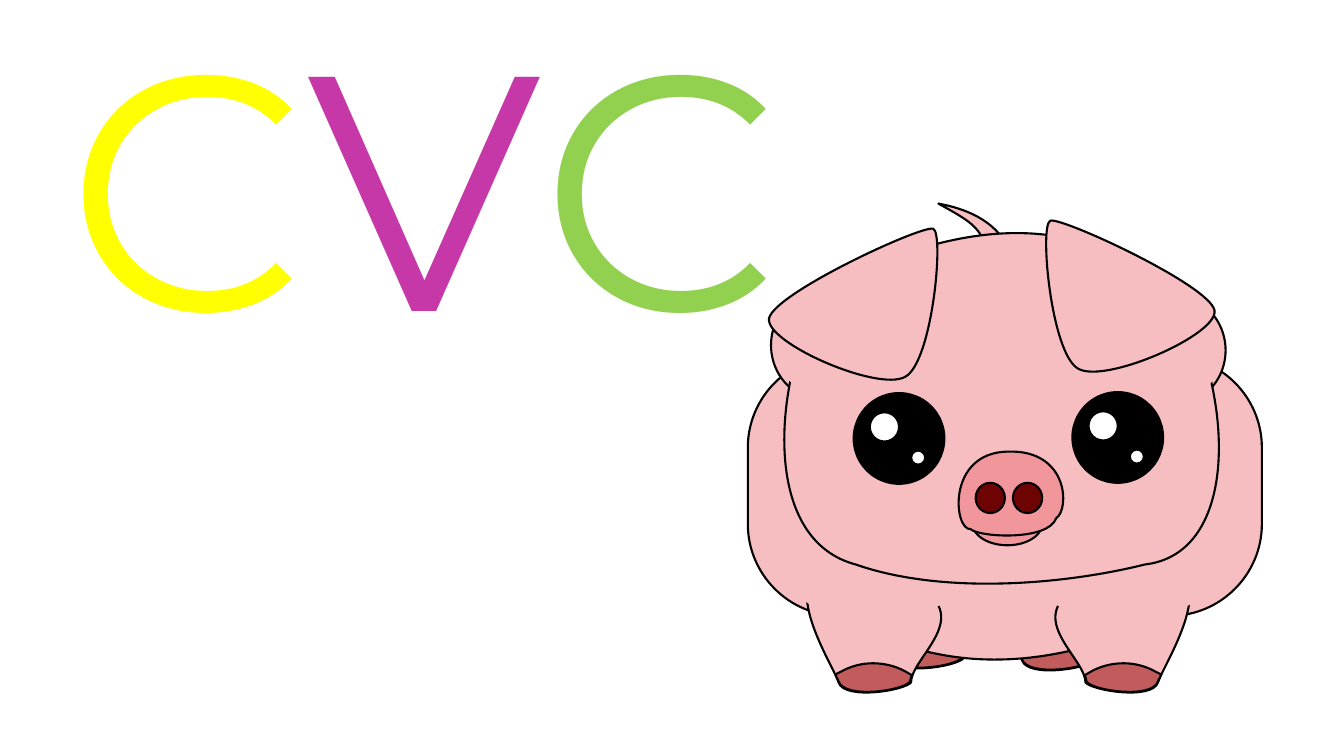
from lxml import etree
from pptx import Presentation
from pptx.dml.color import RGBColor
from pptx.enum.shapes import MSO_SHAPE
from pptx.enum.text import MSO_ANCHOR, MSO_AUTO_SIZE, PP_ALIGN
from pptx.oxml.ns import qn
from pptx.util import Cm, Pt

OVAL = MSO_SHAPE.OVAL
TOP = MSO_ANCHOR.TOP
NO_FIT = MSO_AUTO_SIZE.NONE
CENTER = PP_ALIGN.CENTER

COLORS = {
    "yellow": "FFFF00", "purple": "C638A8", "green": "92D050",
    "skin": "F6BEC1", "back leg": "F5E2E4", "hoof": "C25B5C",
    "snout": "F1969B", "nostril": "6D0303",
    "black": "000000", "white": "FFFFFF",
}
GRID = 2.54  # centimetres per drawing unit
CURVE_STEPS = 24

# Outlines: a start point, then lines (x, y) or cubic curves (six numbers)
TAIL = [(9.84, 2.59), (9.73, 2.25, 9.67, 2.22, 9.31, 2.02),
        (9.91, 2.13, 10.02, 2.46, 10.04, 2.59), (10.1, 3, 9.85, 3.04, 9.61, 3.1),
        (9.46, 3.06, 9.28, 2.86, 9.3, 2.74), (9.27, 2.63, 9.52, 2.33, 9.94, 2.41),
        (10.45, 2.65, 10.34, 3.07, 10.29, 3.11),
        (10.24, 3.15, 10.05, 2.63, 9.63, 2.64),
        (9.19, 2.74, 9.63, 2.89, 9.7, 2.85), (9.92, 2.8, 9.87, 2.68, 9.84, 2.59)]
LEG = [(8.32, 6.77), (8.27, 6.59, 7.45, 5.37, 8.68, 5.67),
       (9.91, 5.98, 9.04, 6.48, 9.04, 6.77), (8.98, 6.85, 8.38, 6.95, 8.32, 6.77)]
HOOF = [(8.66, 6.58), (8.78, 6.58, 8.89, 6.61, 8.98, 6.66), (9.05, 6.7),
        (9.04, 6.71, 9.03, 6.74, 9.03, 6.76), (8.98, 6.85, 8.38, 6.94, 8.32, 6.76),
        (8.32, 6.75, 8.31, 6.74, 8.3, 6.72), (8.29, 6.69), (8.35, 6.66),
        (8.44, 6.61, 8.55, 6.58, 8.66, 6.58)]
BODY = [(7.42, 4.44), (7.42, 3.94, 7.83, 3.53, 8.33, 3.53), (11.61, 3.53),
        (12.11, 3.53, 12.52, 3.94, 12.52, 4.44), (12.52, 5.2),
        (12.52, 5.7, 12.11, 6.11, 11.61, 6.11),
        (10.67, 6.54, 9.53, 6.82, 8.33, 6.11),
        (7.83, 6.11, 7.42, 5.7, 7.42, 5.2), (7.42, 4.44)]
HEAD = [(8.01, 3.21), (8.01, 2.94, 8.22, 2.73, 8.49, 2.73),
        (9.07, 2.42, 10.41, 1.97, 11.36, 2.73),
        (11.62, 2.73, 11.83, 2.94, 11.83, 3.21),
        (12.25, 4.18, 12.22, 5.5, 11.36, 5.6), (10.6, 5.79, 9.38, 5.91, 8.49, 5.6),
        (7.62, 5.37, 7.67, 4.04, 8.01, 3.21)]
SNOUT = [(10, 4.48), (10.61, 4.46, 10.61, 5.06, 10.48, 5.14),
         (10.4, 5.37, 9.72, 5.33, 9.63, 5.25), (9.46, 5.26, 9.39, 4.49, 10, 4.48)]
EAR = [(7.63, 3.16), (7.68, 2.91, 9.15, 2.23, 9.26, 2.27),
       (9.37, 2.32, 9.25, 3.6, 8.98, 3.74), (8.71, 3.89, 7.59, 3.4, 7.63, 3.16)]


def grid(value):
    return Cm(value * GRID)


def moved(outline, dx=0, dy=0, mirror=False):
    """Shift an outline, flipping it left to right first if asked."""
    sign = -1 if mirror else 1
    return [tuple(v + dy if i % 2 else sign * v + dx for i, v in enumerate(step))
            for step in outline]


def flatten(outline):
    """Points along the outline, which give the true extents of its curves."""
    points = [outline[0]]
    for step in outline[1:]:
        if len(step) == 2:
            points.append(step)
            continue
        x0, y0 = points[-1]
        x1, y1, x2, y2, x3, y3 = step
        for n in range(1, CURVE_STEPS + 1):
            t = n / CURVE_STEPS
            a, b, c, d = (1 - t) ** 3, 3 * t * (1 - t) ** 2, 3 * t * t * (1 - t), t ** 3
            points.append((a * x0 + b * x1 + c * x2 + d * x3,
                           a * y0 + b * y1 + c * y2 + d * y3))
    return points


class PigSlide:
    font = "Montserrat"
    outline_width = Pt(1.5)

    def __init__(self, deck):
        self.slide = deck.slides.add_slide(deck.slide_layouts[5])
        self.pig = self.slide.shapes.add_group_shape().shapes

    def color(self, name):
        return RGBColor.from_string(COLORS[name])

    def title(self, letters, left, top, width, height, size):
        title = self.slide.shapes.title
        title.left, title.top = grid(left), grid(top)
        title.width, title.height = grid(width), grid(height)
        frame = title.text_frame
        frame.word_wrap = True
        frame.auto_size = NO_FIT
        frame.vertical_anchor = TOP
        heading = frame.paragraphs[0]
        heading.alignment = CENTER
        for letter, color in letters:
            run = heading.add_run()
            run.text = letter
            run.font.name = self.font
            run.font.size = Pt(size)
            run.font.color.rgb = self.color(color)

    def paint(self, part, fill, lined):
        part.shadow.inherit = False
        part.fill.solid()
        part.fill.fore_color.rgb = self.color(fill)
        if lined:
            part.line.color.rgb = self.color("black")
            part.line.width = self.outline_width
        else:
            part.line.fill.background()

    def oval(self, left, top, width, height, fill="skin", lined=True):
        part = self.pig.add_shape(OVAL, grid(left), grid(top), grid(width), grid(height))
        self.paint(part, fill, lined)

    def curve(self, outline, fill="skin"):
        points = [(grid(x), grid(y)) for x, y in flatten(outline)]
        builder = self.pig.build_freeform(*points[0])
        builder.add_line_segments(points[1:], close=True)
        part = builder.convert_to_shape()
        self.paint(part, fill, True)
        # Swap the straight segments for true curves
        route = part.element.find(".//" + qn("a:path"))
        for segment in list(route):
            route.remove(segment)
        for i, step in enumerate(outline):
            tag = "a:moveTo" if i == 0 else "a:lnTo" if len(step) == 2 else "a:cubicBezTo"
            segment = etree.SubElement(route, qn(tag))
            for x, y in zip(step[::2], step[1::2]):
                etree.SubElement(segment, qn("a:pt"), x=str(grid(x) - part.left),
                                 y=str(grid(y) - part.top))
        etree.SubElement(route, qn("a:close"))

    def leg(self, fill="skin", **shift):
        self.curve(moved(LEG, **shift), fill)
        self.curve(moved(HOOF, **shift), "hoof")

    def eye(self, left, top):
        self.oval(left, top, 0.9, 0.9, "black")
        self.oval(left + 0.16, top + 0.19, 0.29, 0.29, "white")
        self.oval(left + 0.57, top + 0.57, 0.14, 0.14, "white")


def main():
    deck = Presentation()
    deck.slide_width, deck.slide_height = Cm(33.87), Cm(19.05)
    page = PigSlide(deck)

    # Heading
    page.title([("C", "yellow"), ("V", "purple"), ("C", "green")],
               -0.74, -0.28, 9.89, 4.12, 239)

    # Tail, back legs and body
    page.curve(TAIL)
    page.leg("back leg", dx=0.52, dy=-0.24)
    page.leg("back leg", dx=1.82, dy=-0.22)
    page.curve(BODY)

    # Front legs and cheeks
    page.leg()
    page.oval(7.65, 2.88, 1.04, 1.09)
    page.leg(dx=19.81, mirror=True)
    page.oval(11.12, 2.93, 1.04, 1.09)

    # Shoulders that blend the legs into the body
    page.oval(10.32, 5.46, 1.64, 0.68, lined=False)
    page.oval(7.87, 5.45, 1.64, 0.68, lined=False)

    # Head, mouth and snout
    page.curve(HEAD)
    page.oval(9.65, 4.98, 0.69, 0.43, "snout")
    page.curve(SNOUT, "snout")
    for nostril_left in (9.68, 10.05):
        page.oval(nostril_left, 4.79, 0.29, 0.3, "nostril")

    # Eyes
    page.eye(8.47, 3.9)
    page.eye(10.64, 3.89)

    # Temples that blend the head into the cheeks, then ears
    page.oval(11.62, 3.19, 0.48, 0.69, lined=False)
    page.oval(7.78, 3.42, 0.23, 0.39, lined=False)
    page.curve(moved(EAR, dx=19.68, dy=-0.08, mirror=True))
    page.curve(EAR)

    deck.save("out.pptx")


if __name__ == "__main__":
    main()
